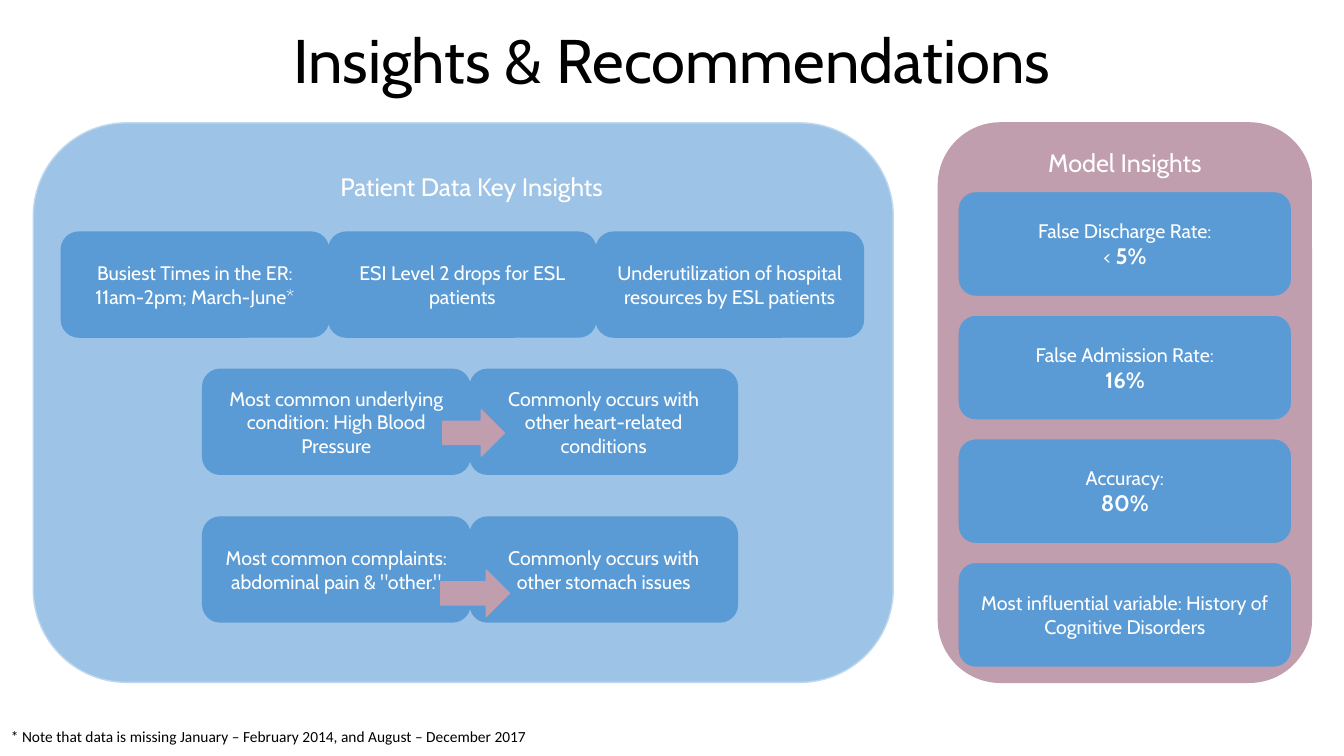
"""Build the insights and recommendations slide."""
from dataclasses import dataclass

from pptx import Presentation
from pptx import util as u
from pptx.dml.color import RGBColor
from pptx.enum import shapes, text


@dataclass(frozen=True)
class Theme:
    """Colours, fonts and type sizes of the slide."""
    black: str = "000000"
    white: str = "FFFFFF"
    blue: str = "5B9BD5"
    light_blue: str = "9DC3E6"
    pale_blue: str = "BDD7EE"
    mauve: str = "C09EAD"
    font: str = "Cabin"
    note_font: str = "Calibri"
    title: int = 44
    heading: int = 18
    figure: int = 16
    body: int = 14
    note: int = 11


THEME = Theme()
ROUNDED = shapes.MSO_SHAPE.ROUNDED_RECTANGLE
ARROW = shapes.MSO_SHAPE.RIGHT_ARROW
CENTER = text.PP_ALIGN.CENTER
CARD_WIDTH, CARD_HEIGHT = 191, 75

INSIGHT_ROWS = (
    (20, 78, ("Busiest Times in the ER: 11am-2pm; March-June*",
              "ESI Level 2 drops for ESL patients",
              "Underutilization of hospital resources by ESL patients")),
    (121, 176, ("Most common underlying condition: High Blood Pressure",
                "Commonly occurs with other heart-related conditions")),
    (121, 281.5, ("Most common complaints: abdominal pain & \"other.\"",
                  "Commonly occurs with other stomach issues")),
)
INSIGHT_ARROWS = ((292.5, 205, 44, 33), (291, 319.5, 49, 33))
MODEL_CARDS = (
    ("False Discharge Rate:", "< ", "5%"),
    ("False Admission Rate:", "", "16%"),
    ("Accuracy:", "", "80%"),
    ("Most influential variable: History of Cognitive Disorders", "", ""),
)


def apply(target, values):
    """Set each attribute of the target from a dict."""
    for name, value in values.items():
        setattr(target, name, value)


def place(shape, box):
    """Move a shape to a box given in points."""
    names = ("left", "top", "width", "height")
    apply(shape, {name: u.Pt(value) for name, value in zip(names, box)})


def add_run(paragraph, words, size, color=THEME.white, font=THEME.font, bold=False):
    """Add one formatted run to a paragraph."""
    run = paragraph.add_run()
    run.text = words
    apply(run.font, {"name": font, "size": u.Pt(size), "bold": bold})
    run.font.color.rgb = RGBColor.from_string(color)


def add_block(group, kind, box, fill, line):
    """Add a filled, outlined shape and return it."""
    shape = group.shapes.add_shape(kind, *map(u.Pt, box))
    shape.shadow.inherit = False
    shape.fill.solid()
    shape.fill.fore_color.rgb = RGBColor.from_string(fill)
    shape.line.color.rgb = RGBColor.from_string(line)
    shape.line.width = u.Pt(1)
    return shape


def add_label(group, box, fill, line, words, size):
    """Add a rounded block with centred words and return its text frame."""
    frame = add_block(group, ROUNDED, box, fill, line).text_frame
    apply(frame, {"word_wrap": True, "vertical_anchor": text.MSO_ANCHOR.MIDDLE})
    frame.paragraphs[0].alignment = CENTER
    add_run(frame.paragraphs[0], words, size)
    return frame


def add_title(slide, box):
    """Place and format the slide title."""
    title = slide.shapes.title
    place(title, box)
    apply(title.text_frame, {"word_wrap": True, "auto_size": text.MSO_AUTO_SIZE.NONE,
                             "vertical_anchor": text.MSO_ANCHOR.MIDDLE})
    paragraph = title.text_frame.paragraphs[0]
    apply(paragraph, {"alignment": CENTER, "line_spacing": 0.9})
    add_run(paragraph, "Insights & Recommendations", THEME.title, THEME.black)


def add_patient_panel(slide, box):
    """Draw the patient data panel with its rows of cards and arrows."""
    left, top, width, _ = box
    group = slide.shapes.add_group_shape()
    add_block(group, ROUNDED, box, THEME.light_blue, THEME.pale_blue)
    add_label(group, (left + 28, top + 27.5, width - 44, 35), THEME.light_blue,
              THEME.light_blue, "Patient Data Key Insights", THEME.heading)
    for row_left, row_top, labels in INSIGHT_ROWS:
        for column, words in enumerate(labels):
            card = (left + row_left + column * CARD_WIDTH, top + row_top,
                    CARD_WIDTH, CARD_HEIGHT)
            add_label(group, card, THEME.blue, THEME.blue, words, THEME.body)
    for x, y, arrow_width, arrow_height in INSIGHT_ARROWS:
        add_block(group, ARROW, (left + x, top + y, arrow_width, arrow_height),
                  THEME.mauve, THEME.mauve)


def add_model_panel(slide, box):
    """Draw the model panel with its column of result cards."""
    left, top, width, _ = box
    group = slide.shapes.add_group_shape()
    add_block(group, ROUNDED, box, THEME.mauve, THEME.mauve)
    inner_left, inner_width = left + 14, width - 28
    add_label(group, (inner_left, top + 11, inner_width, 35), THEME.mauve,
              THEME.mauve, "Model Insights", THEME.heading)
    for index, (words, sign, figure) in enumerate(MODEL_CARDS):
        card = (inner_left, top + 49 + index * 88.3, inner_width, CARD_HEIGHT)
        frame = add_label(group, card, THEME.blue, THEME.mauve, words, THEME.body)
        if figure:
            paragraph = frame.add_paragraph()
            paragraph.alignment = CENTER
            if sign:
                add_run(paragraph, sign, THEME.body)
            add_run(paragraph, figure, THEME.figure, bold=True)


def add_footnote(slide, box):
    """Add the note on missing data."""
    frame = slide.shapes.add_textbox(*map(u.Pt, box)).text_frame
    frame.word_wrap = True
    add_run(frame.paragraphs[0],
            "* Note that data is missing January – February 2014, "
            "and August – December 2017",
            THEME.note, THEME.black, THEME.note_font)


def main():
    """Build and save the presentation."""
    presentation = Presentation()
    apply(presentation, {"slide_width": u.Pt(960), "slide_height": u.Pt(540)})
    slide = presentation.slides.add_slide(presentation.slide_layouts[5])
    add_title(slide, (66, -6.5, 828, 104.4))
    add_footnote(slide, (0.7, 515.5, 637, 20.6))
    add_model_panel(slide, (670.3, 87.8, 266.4, 399.6))
    add_patient_panel(slide, (23.8, 87.8, 614.2, 399.6))
    presentation.save("out.pptx")


if __name__ == "__main__":
    main()
